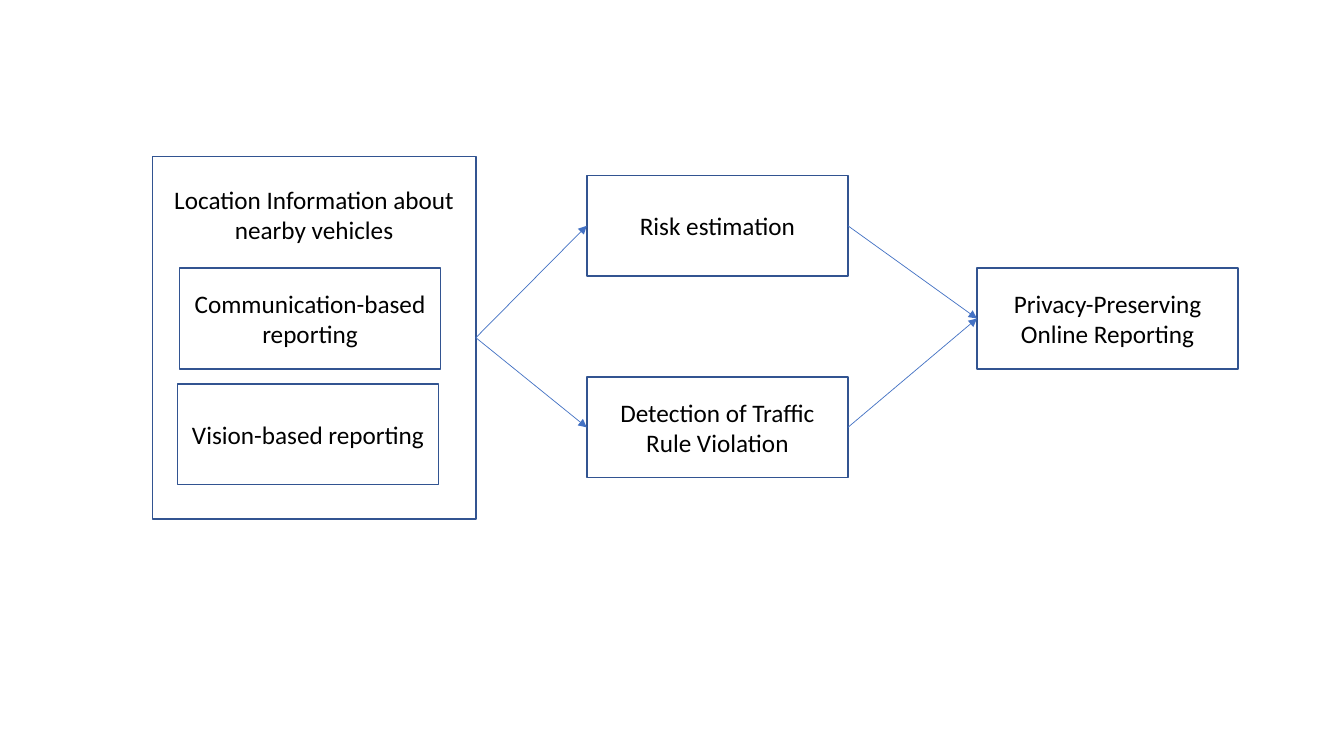
from lxml import etree
from pptx import Presentation
from pptx.dml.color import RGBColor
from pptx.enum.shapes import MSO_CONNECTOR, MSO_SHAPE
from pptx.enum.text import MSO_ANCHOR, PP_ALIGN
from pptx.oxml.ns import qn
from pptx.util import Inches, Pt

COLORS = {"outline": "325491", "arrow": "4472C4", "text": "000000"}
BOX_WIDTH, BOX_HEIGHT = 2.59, 1
LEFT_SIDE, RIGHT_SIDE = 1, 3  # rectangle connection sites

deck = Presentation()
deck.slide_width, deck.slide_height = Inches(13.33), Inches(7.5)
slide = deck.slides.add_slide(deck.slide_layouts[6])


def write_text(shape, text, anchor):
    frame = shape.text_frame
    frame.word_wrap = True
    frame.vertical_anchor = anchor
    para = frame.paragraphs[0]
    para.text = text
    para.alignment = PP_ALIGN.CENTER
    para.font.name = "Calibri"
    para.font.size = Pt(18)
    para.font.color.rgb = RGBColor.from_string(COLORS["text"])


def add_box(left, top, width=BOX_WIDTH, height=BOX_HEIGHT, text=""):
    box = slide.shapes.add_shape(
        MSO_SHAPE.RECTANGLE, Inches(left), Inches(top), Inches(width), Inches(height))
    box.shadow.inherit = False
    box.fill.background()
    box.line.color.rgb = RGBColor.from_string(COLORS["outline"])
    box.line.width = Pt(1)
    if text:
        write_text(box, text, MSO_ANCHOR.MIDDLE)
    return box


# Location group with its heading and two sources
location = add_box(1.51, 1.55, 3.21, 3.6)
heading = slide.shapes.add_textbox(Inches(1.61), Inches(1.78), Inches(3.01), Inches(0.71))
write_text(heading, "Location Information about nearby vehicles", MSO_ANCHOR.TOP)
add_box(1.78, 2.66, text="Communication-based reporting")
add_box(1.76, 3.81, text="Vision-based reporting")

# Analysis steps and final report
risk = add_box(5.82, 1.74, text="Risk estimation")
violation = add_box(5.82, 3.74, text="Detection of Traffic Rule Violation")
report = add_box(9.69, 2.66, text="Privacy-Preserving Online Reporting")

# Arrows from right side to left side
for source, target in [(location, violation), (location, risk),
                       (risk, report), (violation, report)]:
    arrow = slide.shapes.add_connector(MSO_CONNECTOR.STRAIGHT, 0, 0, 0, 0)
    arrow.begin_connect(source, RIGHT_SIDE)
    arrow.end_connect(target, LEFT_SIDE)
    arrow.line.color.rgb = RGBColor.from_string(COLORS["arrow"])
    arrow.line.width = Pt(0.5)
    etree.SubElement(arrow.line._get_or_add_ln(), qn("a:tailEnd"), type="triangle")
    etree.SubElement(arrow._element.spPr, qn("a:effectLst"))

deck.save("out.pptx")
